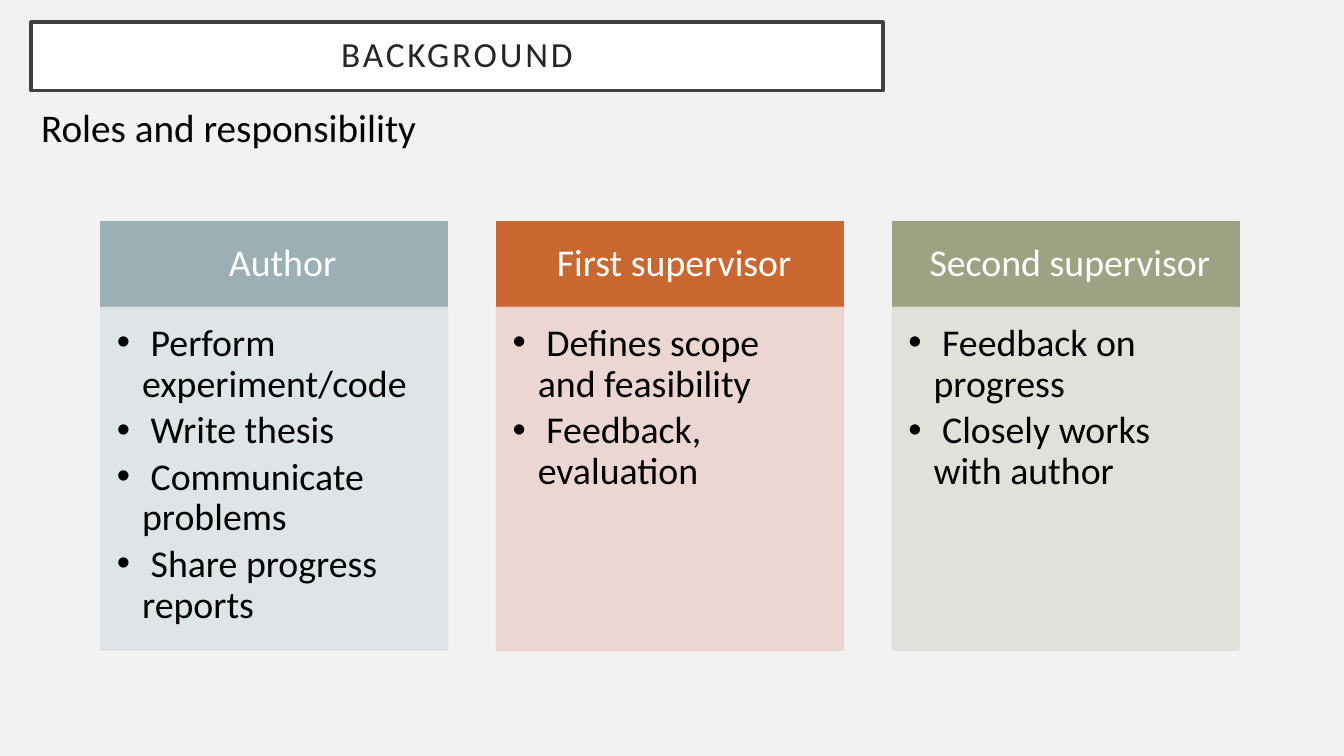
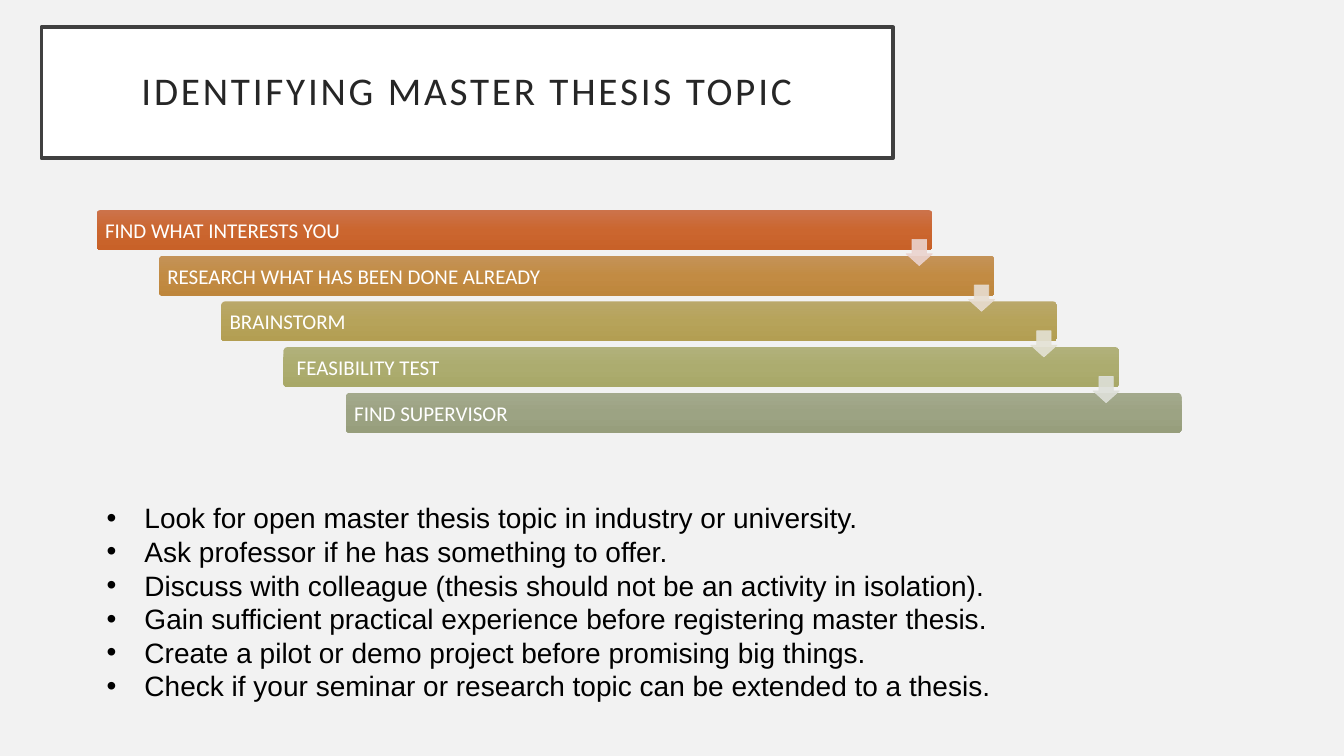
import collections
import copy

import pptx
import pptx.dml.color
import pptx.enum.shapes
import pptx.enum.text
import pptx.oxml
import pptx.oxml.ns
import pptx.util

Pt = pptx.util.Pt
SHAPES = pptx.enum.shapes.MSO_SHAPE
ALIGN = pptx.enum.text.PP_ALIGN
ANCHOR = pptx.enum.text.MSO_ANCHOR
qn = pptx.oxml.ns.qn

Box = collections.namedtuple("Box", "left top width height")

COLORS = {
    "page": "F2F2F2", "white": "FFFFFF", "black": "000000",
    "frame": "404040", "title": "262626",
    "author": "9BAFB5", "author_tint": "DEE3E5",
    "first": "C96731", "first_tint": "EBD3CE",
    "second": "9CA383", "second_tint": "DEE0D9",
    "stage_tint_2": "E8DDD1", "stage_tint_3": "E4E2D5",
}

# Name, palette key, left inset of the heading, duties
ROLES = [
    ("Author", "author", 27,
     ["Perform experiment/code", "Write thesis",
      "Communicate problems", "Share progress reports"]),
    ("First supervisor", "first", 21,
     ["Defines scope and feasibility", "Feedback, evaluation"]),
    ("Second supervisor", "second", 21,
     ["Feedback on progress", "Closely works with author"]),
]

# Text, gradient from top to bottom, colour of the arrow to the next stage
STAGES = [
    ("FIND WHAT INTERESTS YOU", ("CC734B", "CB662F", "C86128"), "first_tint"),
    ("RESEARCH WHAT HAS BEEN DONE ALREADY", ("C49358", "C28B43", "BE863C"), "stage_tint_2"),
    ("BRAINSTORM", ("BAA86A", "B6A35A", "B39E52"), "stage_tint_3"),
    (" FEASIBILITY TEST", ("B1B17B", "ACAC6F", "A8A868"), "second_tint"),
    ("FIND SUPERVISOR", ("A3A98C", "9CA383", "979E7C"), None),
]

ADVICE = [
    "Look for open master thesis topic in industry or university.",
    "Ask professor if he has something to offer.",
    "Discuss with colleague (thesis should not be an activity in isolation).",
    "Gain sufficient practical experience before registering master thesis.",
    "Create a pilot or demo project before promising big things.",
    "Check if your seminar or research topic can be extended to a thesis.",
]


def rgb(value):
    return pptx.dml.color.RGBColor.from_string(COLORS.get(value, value))


def points(box):
    return [Pt(length) for length in box]


def place(shape, box):
    shape.left, shape.top, shape.width, shape.height = points(box)


def set_insets(frame, left, top, right, bottom):
    frame.margin_left, frame.margin_top = Pt(left), Pt(top)
    frame.margin_right, frame.margin_bottom = Pt(right), Pt(bottom)


def write(frame, lines, size, color="black", font="Calibri", align=ALIGN.LEFT,
          line_spacing=1.0, space_after=0):
    frame.text = "\n".join(lines)
    for para in frame.paragraphs:
        para.alignment = align
        para.line_spacing = line_spacing
        para.space_before, para.space_after = Pt(0), Pt(space_after)
        for span in para.runs:
            span.font.name, span.font.size = font, Pt(size)
            span.font.color.rgb = rgb(color)


def add_bullets(frame, indent):
    for para in frame.paragraphs:
        props = para._p.get_or_add_pPr()
        props.set("marL", str(Pt(indent)))
        props.set("indent", str(-Pt(indent)))
        for tag, attribute, value in (("a:buFont", "typeface", "Arial"),
                                      ("a:buChar", "char", "•")):
            bullet = pptx.oxml.parse_xml(
                f'<{tag} {pptx.oxml.ns.nsdecls("a")} {attribute}="{value}"/>')
            props.append(bullet)


def add_panel(page, kind, box, color=None, line_width=0, opacity=100):
    shape = page.shapes.add_shape(kind, *points(box))
    shape.shadow.inherit = False
    if color is None:
        shape.line.fill.background()
        return shape
    shape.fill.solid()
    shape.fill.fore_color.rgb = rgb(color)
    shape.line.color.rgb = rgb(color)
    shape.line.width = Pt(line_width)
    if opacity < 100:
        for tint in shape._element.spPr.iter(qn("a:srgbClr")):
            alpha = pptx.oxml.parse_xml(
                f'<a:alpha {pptx.oxml.ns.nsdecls("a")} val="{opacity * 1000}"/>')
            tint.append(alpha)
    return shape


def set_gradient(shape, colors):
    shape.fill.gradient()
    shape.fill.gradient_angle = 270
    stop_list = shape._element.spPr.find(".//" + qn("a:gsLst"))
    stop_list.insert(1, copy.deepcopy(stop_list[0]))
    for stop, position, color in zip(shape.fill.gradient_stops, (0, 0.5, 1), colors):
        stop.position = position
        stop.color.rgb = rgb(color)


# Framed title, shared by all slides
def add_title(page, box, text, size):
    title = page.shapes.title
    place(title, box)
    title.fill.solid()
    title.fill.fore_color.rgb = rgb("white")
    title.line.color.rgb = rgb("frame")
    title.line.width = Pt(2.5)
    frame = title.text_frame
    frame.word_wrap = True
    frame.auto_size = pptx.enum.text.MSO_AUTO_SIZE.NONE
    frame.vertical_anchor = ANCHOR.MIDDLE
    set_insets(frame, 14.4, 14.4, 14.4, 14.4)
    write(frame, [text], size, "title", align=ALIGN.CENTER, line_spacing=0.9)
    for span in frame.paragraphs[0].runs:
        span._r.get_or_add_rPr().set("spc", "200")


def add_caption(page, box, text):
    caption = page.shapes.add_textbox(*points(box))
    caption.text_frame.word_wrap = False
    write(caption.text_frame, [text], 28)


# One role: coloured heading above a tinted list of duties
def add_role(page, box, role):
    name, color, heading_inset, duties = role
    heading_height = 61.2
    heading = add_panel(page, SHAPES.RECTANGLE,
                        box._replace(height=heading_height), color, 1)
    heading.text_frame.vertical_anchor = ANCHOR.MIDDLE
    set_insets(heading.text_frame, heading_inset, 8.64, 15, 8.64)
    write(heading.text_frame, [name], 27, "white", align=ALIGN.CENTER, line_spacing=0.9)

    duty_box = Box(box.left, box.top + heading_height, box.width,
                   box.height - heading_height)
    panel = add_panel(page, SHAPES.RECTANGLE, duty_box, color + "_tint", 1, 90)
    panel.text_frame.vertical_anchor = ANCHOR.TOP
    set_insets(panel.text_frame, 11.5, 11.5, 15, 17.3)
    write(panel.text_frame, [f" {duty}" for duty in duties], 27,
          line_spacing=0.9, space_after=4)
    add_bullets(panel.text_frame, 18)


def add_roles(page, box, gap):
    width = (box.width - gap * (len(ROLES) - 1)) / len(ROLES)
    for index, role in enumerate(ROLES):
        left = box.left + index * (width + gap)
        add_role(page, box._replace(left=left, width=width), role)


# Staircase of stages, each leading down to the next
def add_staircase(page, box):
    bar_width, bar_height, arrow_size = 597, 28.6, 18.7
    step_x = (box.width - bar_width) / (len(STAGES) - 1)
    step_y = (box.height - bar_height) / (len(STAGES) - 1)
    bars = [Box(box.left + index * step_x, box.top + index * step_y,
                bar_width, bar_height) for index in range(len(STAGES))]
    for bar, (text, gradient, _) in zip(bars, STAGES):
        stage = add_panel(page, SHAPES.ROUNDED_RECTANGLE, bar)
        stage.adjustments[0] = 0.1
        set_gradient(stage, gradient)
        stage.text_frame.vertical_anchor = ANCHOR.MIDDLE
        set_insets(stage.text_frame, 5.2, 4.3, 5.2, 4.3)
        write(stage.text_frame, [text], 15, "white")
    for bar, (_, _, tint) in zip(bars[:-1], STAGES):
        arrow_box = Box(bar.left + bar.width - arrow_size, bar.top + 21,
                        arrow_size, arrow_size)
        arrow = add_panel(page, SHAPES.DOWN_ARROW, arrow_box, tint, 0.5, 90)
        arrow.adjustments[0], arrow.adjustments[1] = 0.55, 0.45


def add_advice(page, box):
    body = page.placeholders[1]
    place(body, box)
    frame = body.text_frame
    frame.word_wrap = True
    frame.auto_size = pptx.enum.text.MSO_AUTO_SIZE.NONE
    frame.vertical_anchor = ANCHOR.TOP
    set_insets(frame, 7.2, 3.6, 7.2, 3.6)
    write(frame, ADVICE, 20, font="Arial")
    add_bullets(frame, 27)


def build_background(deck):
    page = deck.slides.add_slide(deck.slide_layouts[5])
    add_title(page, Box(22.3, 15.8, 608.4, 49), "BACKGROUND", 25.2)
    add_caption(page, Box(22.3, 70.6, 284.4, 41), "Roles and responsibility")
    add_roles(page, Box(72, 158.4, 813, 306), 35)


def build_topic(deck):
    page = deck.slides.add_slide(deck.slide_layouts[1])
    add_title(page, Box(29.5, 19.4, 608.4, 93.6), "IDENTIFYING MASTER THESIS TOPIC", 28)
    add_staircase(page, Box(69, 150, 775, 159.2))
    add_advice(page, Box(69, 354.2, 659.5, 152.6))


def main():
    deck = pptx.Presentation()
    deck.slide_width, deck.slide_height = Pt(960), Pt(540)
    background = deck.slide_master.background.fill
    background.solid()
    background.fore_color.rgb = rgb("page")
    build_background(deck)
    build_topic(deck)
    deck.save("out.pptx")


if __name__ == "__main__":
    main()
